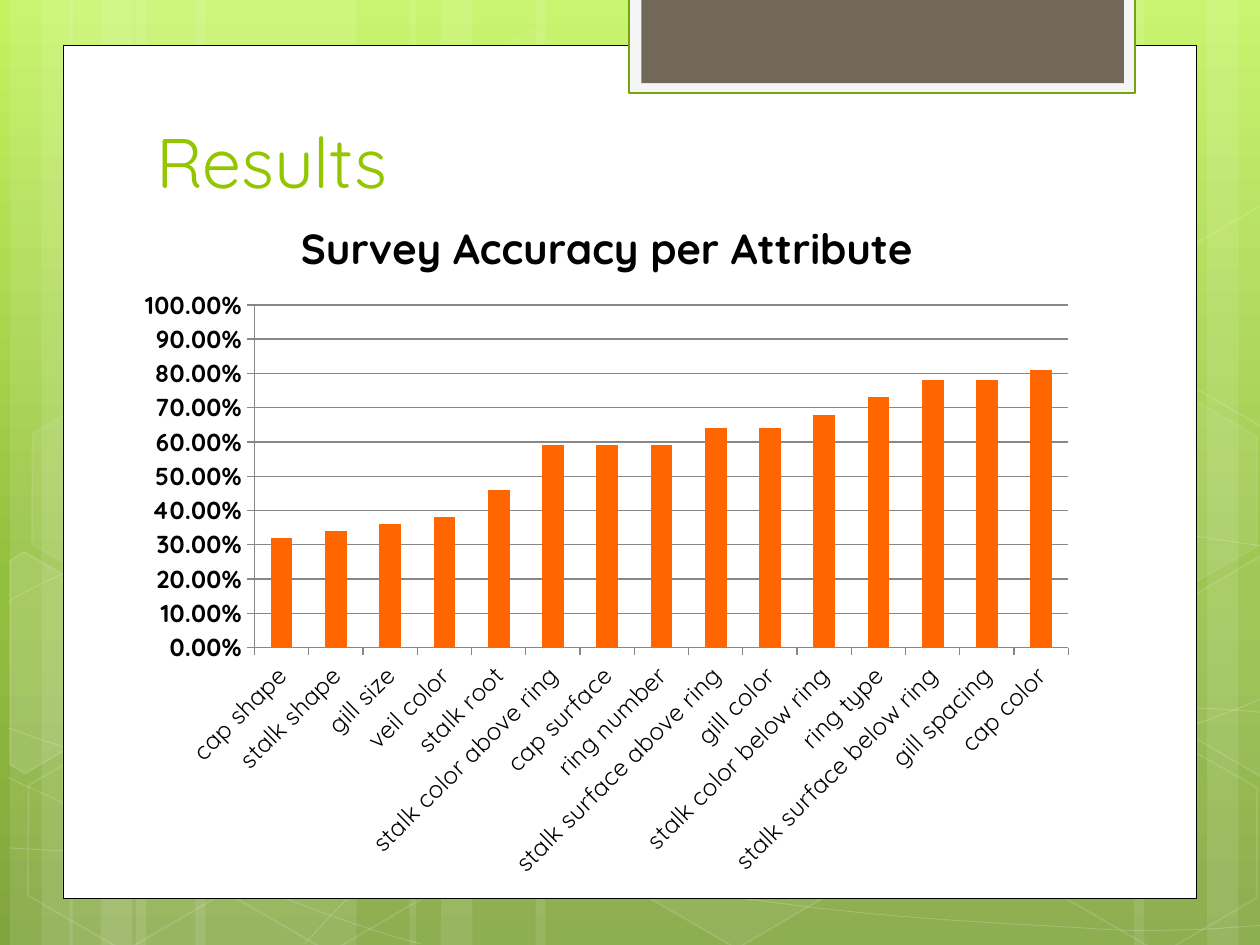
from lxml import etree
from pptx import Presentation
from pptx import util as u
from pptx.chart.data import CategoryChartData
from pptx.dml.color import RGBColor
from pptx.enum import chart as ch, shapes, text
from pptx.oxml import ns

COLS, ROWS = 10, 7.5
HUES = {
    "white": "FFFFFF", "black": "000000", "lime": "94C600", "edge": "74A510",
    "tab": "71685A", "rim": "F5F5F5", "bar": "FF6600", "grid": "878787",
}
SKY = [(0, "C3F35F"), (62, "93BF3F"), (100, "81A53E")]
STRIPS = [
    (1.08, 1.75), (0.08, 0.5), (0.33, 0.83), (1.55, 1.75), (0.55, 0.5), (0.8, 0.83),
    (7.33, 1.75), (9.58, 0.5), (9, 0.83), (4.25, 3.08), (3.25, 0.5), (3.5, 0.83),
]
WAVES = [
    [(0.07, 6.73), (0.61, 6.76), (1.15, 6.79), (1.9, 6.78), (2.65, 6.77), (3.58, 6.75),
     (4.58, 6.65), (5.58, 6.55), (7, 6.36), (7.92, 6.17), (8.83, 5.98), (9.77, 5.68),
     (10.07, 5.51)],
    [(0.07, 4.77), (0.36, 4.61), (0.65, 4.46), (1.21, 4.31), (1.78, 4.16), (2.59, 3.94),
     (3.47, 3.87), (4.36, 3.8), (5.44, 3.79), (6.54, 3.87), (7.64, 3.95), (9.47, 4.26),
     (10.07, 4.34)],
    [(0.06, 6.17), (1.27, 6.72), (2.47, 7.27), (3.34, 7.49)],
    [(0.07, 5.78), (0.38, 5.89), (0.7, 6), (1.28, 6.16), (1.86, 6.31), (2.73, 6.56),
     (3.57, 6.73), (4.4, 6.9), (5.45, 7.08), (6.28, 7.18), (7.11, 7.29), (8, 7.33),
     (8.53, 7.36), (9.05, 7.4), (9.19, 7.38), (9.45, 7.38), (9.71, 7.37), (9.89, 7.35),
     (10.07, 7.34)],
    [(2.42, 7.49), (2.6, 7.29), (2.78, 7.09), (3.02, 6.91), (3.26, 6.73), (3.6, 6.53),
     (3.88, 6.39), (4.16, 6.25), (4.33, 6.19), (4.7, 6.09), (5.06, 5.99), (5.73, 5.85),
     (6.08, 5.78), (6.44, 5.71), (6.49, 5.71), (6.8, 5.69), (7.11, 5.66), (7.6, 5.63),
     (7.94, 5.62), (8.29, 5.61), (8.86, 5.62), (8.86, 5.62), (8.86, 5.62), (9.53, 5.62),
     (9.53, 5.62), (9.71, 5.63), (9.88, 5.64), (9.97, 5.65), (10.06, 5.66), (10.03, 5.65),
     (10.06, 5.66)],
]
HEXES = [
    (3.34, 0.36, 4, 8), (4.97, 5.89, 6, 12), (0.11, 5.91, 0, 12),
    (0.14, 3.12, 7, 8), (1.74, 5.92, 0, 12), (7.53, 4.53, 10, 12),
    (8.34, 5.93, 0, 12), (8.34, 3.14, 7, 8),
]
SHARDS = [
    ([(0.08, 4.45), (0.19, 4.38), (0.96, 4.82), (0.95, 5.7), (0.2, 6.14), (0.08, 6.07)], 10),
    ([(9.26, 4.85), (10.01, 4.41), (10.09, 4.46), (10.09, 6.13), (10.02, 6.17), (9.26, 5.73)], 4),
    ([(9.26, 2.07), (10.01, 1.63), (10.1, 1.68), (10.09, 3.35), (10.02, 3.39), (9.26, 2.95)], 0),
]
SCORES = {
    "cap shape": 0.32, "stalk shape": 0.34, "gill size": 0.36, "veil color": 0.38,
    "stalk root": 0.46, "stalk color above ring": 0.59, "cap surface": 0.59,
    "ring number": 0.59, "stalk surface above ring": 0.64, "gill color": 0.64,
    "stalk color below ring": 0.68, "ring type": 0.73, "stalk surface below ring": 0.78,
    "gill spacing": 0.78, "cap color": 0.81,
}


def hue(name):
    return RGBColor.from_string(HUES[name])


class Deck:
    font = "Quicksand"

    def __init__(self):
        self.prs = Presentation()
        self.prs.slide_width, self.prs.slide_height = u.Inches(10), u.Inches(7.5)
        self.slide = self.prs.slides.add_slide(self.prs.slide_layouts[6])

    def span(self, col, row):
        return (round(col / COLS * self.prs.slide_width),
                round(row / ROWS * self.prs.slide_height))

    def wash(self, stops):
        fill = self.slide.background.fill
        fill.gradient()
        fill.gradient_angle = 270
        ramp = next(self.slide.element.iter(ns.qn("a:gsLst")))
        for old in list(ramp):
            ramp.remove(old)
        for spot, tone in stops:
            stop = etree.SubElement(ramp, ns.qn("a:gs"), pos=str(spot * 1000))
            etree.SubElement(stop, ns.qn("a:srgbClr"), val=tone)

    def tint(self, fill, name, alpha):
        if not alpha:
            fill.background()
            return
        fill.solid()
        fill.fore_color.rgb = hue(name)
        if alpha < 100:
            tone = next(fill._xPr.iter(ns.qn("a:srgbClr")))
            etree.SubElement(tone, ns.qn("a:alpha"), val=str(alpha * 1000))

    def paint(self, shape, fill="white", alpha=100, line=None, width=1, sheer=100):
        shape.shadow.inherit = False
        self.tint(shape.fill, fill, alpha)
        self.tint(shape.line.fill, line, sheer if line else 0)
        if line:
            shape.line.width = u.Pt(width)
        return shape

    def block(self, x, y, w, h, kind=shapes.MSO_SHAPE.RECTANGLE, **look):
        return self.paint(self.slide.shapes.add_shape(
            kind, *self.span(x, y), *self.span(w, h)), **look)

    def hex(self, x, y, alpha, sheer):
        shape = self.block(x, y, 1.75, 1.52, shapes.MSO_SHAPE.HEXAGON,
                           alpha=alpha, line="white", sheer=sheer)
        shape.adjustments[0], shape.adjustments[1] = 0.285, 1.155
        shape.rotation = 30

    def free(self, pts, close, **look):
        pts = [self.span(*p) for p in pts]
        pen = self.slide.shapes.build_freeform(*pts[0])
        pen.add_line_segments(pts[1:], close=close)
        return self.paint(pen.convert_to_shape(), line="white", **look)

    def wave(self, pts):
        shape = self.free(pts, False, alpha=0, width=0.5, sheer=20)
        track = next(shape.element.iter(ns.qn("a:path")))
        legs = track.findall(ns.qn("a:lnTo"))
        for i in range(0, len(legs), 3):
            bend = etree.SubElement(track, ns.qn("a:cubicBezTo"))
            for leg in legs[i:i + 3]:
                bend.append(leg[0])
                track.remove(leg)

    def style(self, font, size, bold=False, name="black"):
        font.name, font.size, font.bold = self.font, u.Pt(size), bold
        font.color.rgb = hue(name)

    def label(self, words, x, y, w, h, size, name):
        frame = self.slide.shapes.add_textbox(*self.span(x, y), *self.span(w, h)).text_frame
        frame.word_wrap = True
        frame.vertical_anchor = text.MSO_ANCHOR.BOTTOM
        frame.text = words
        self.style(frame.paragraphs[0].runs[0].font, size, name=name)

    def chart(self, title, scores, x, y, w, h):
        data = CategoryChartData(number_format="0.00%")
        data.categories = list(scores)
        data.add_series("Series 1", list(scores.values()))
        chart = self.slide.shapes.add_chart(
            ch.XL_CHART_TYPE.COLUMN_CLUSTERED, *self.span(x, y), *self.span(w, h), data).chart
        self.style(chart.font, 10)
        chart.has_legend = False
        chart.has_title = True
        chart.chart_title.include_in_layout = False
        chart.chart_title.text_frame.text = title
        head = chart.chart_title.text_frame.paragraphs[0]
        for font in (head.font, head.runs[0].font):
            self.style(font, 24, True)
        plot = chart.plots[0]
        plot.gap_width, plot.vary_by_categories = 150, False
        self.tint(plot.series[0].format.fill, "bar", 100)
        cat, val = chart.category_axis, chart.value_axis
        for axis, bold in ((cat, False), (val, True)):
            self.style(axis.tick_labels.font, 14, bold)
            axis.major_tick_mark = ch.XL_TICK_MARK.OUTSIDE
            axis.format.line.color.rgb = hue("grid")
        next(cat._element.iter(ns.qn("a:bodyPr"))).set("rot", "-2700000")
        val.minimum_scale, val.maximum_scale, val.major_unit = 0, 1, 0.1
        val.tick_labels.number_format = "0.00%"
        val.tick_labels.number_format_is_linked = False
        val.has_major_gridlines = True
        val.major_gridlines.format.line.color.rgb = hue("grid")
        self.place(chart, x=1.02 / w, y=0.92 / h, w=6.46 / w, h=2.72 / h)

    def place(self, chart, **box):
        area = next(chart._chartSpace.iter(ns.qn("c:plotArea")))
        for old in area.findall(ns.qn("c:layout")):
            area.remove(old)
        lay = etree.Element(ns.qn("c:layout"))
        area.insert(0, lay)
        man = etree.SubElement(lay, ns.qn("c:manualLayout"))
        rules = {"layoutTarget": "inner", "xMode": "edge", "yMode": "edge", **box}
        for key, val in rules.items():
            etree.SubElement(man, ns.qn("c:" + key), val=str(val))


def main():
    deck = Deck()
    deck.wash(SKY)
    for left, width in STRIPS:
        deck.block(left, 0, width, ROWS, alpha=10)
    for pts in WAVES:
        deck.wave(pts)
    for cell in HEXES:
        deck.hex(*cell)
    for pts, alpha in SHARDS:
        deck.free(pts, True, alpha=alpha, sheer=12)
    deck.block(0.5, 0.36, 9, 6.77, line="black", width=0.5)
    deck.block(4.99, -0.02, 4.02, 0.76, fill="rim", line="edge", width=1.25)
    deck.block(5.09, -0.02, 3.83, 0.68, fill="tab")
    deck.label("Results", 1.14, 0.41, 7.68, 1.25, 40, "lime")
    deck.chart("Survey Accuracy per Attribute", SCORES, 1, 1.5, 7.63, 5.58)
    deck.prs.save("out.pptx")


if __name__ == "__main__":
    main()
